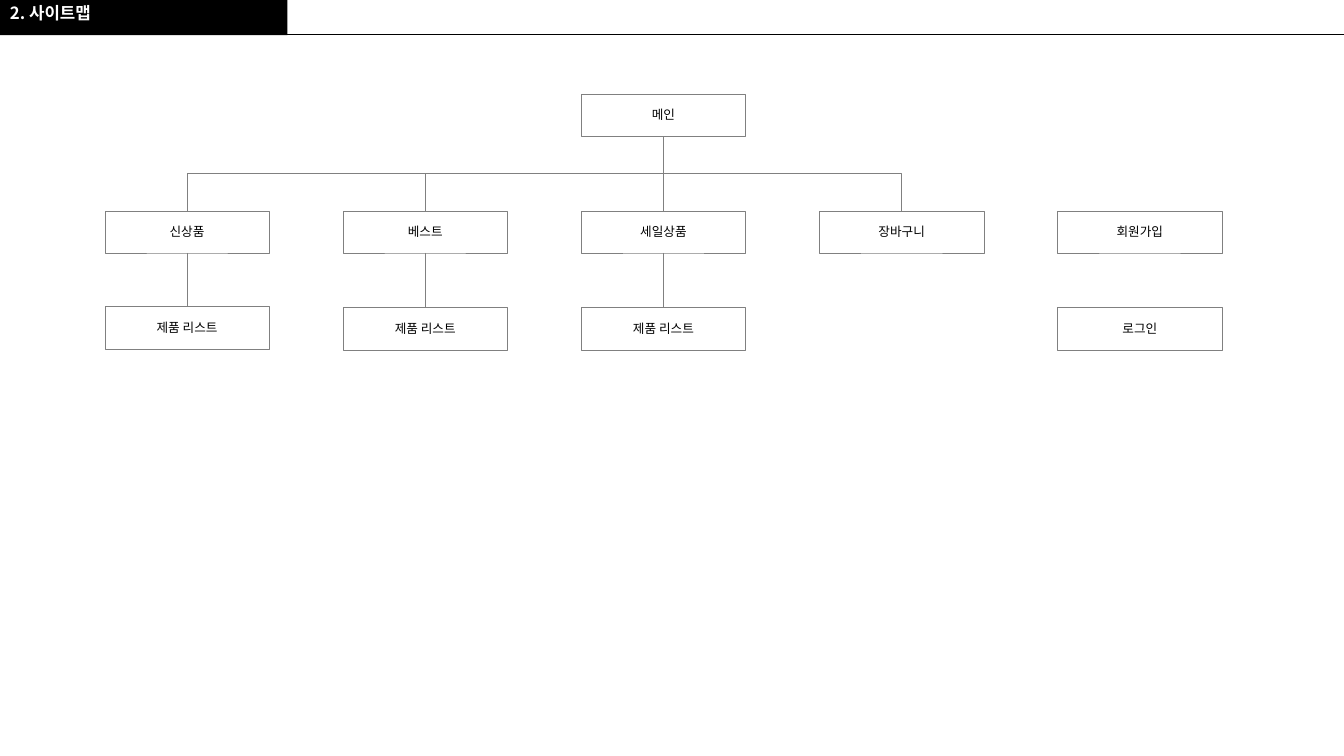
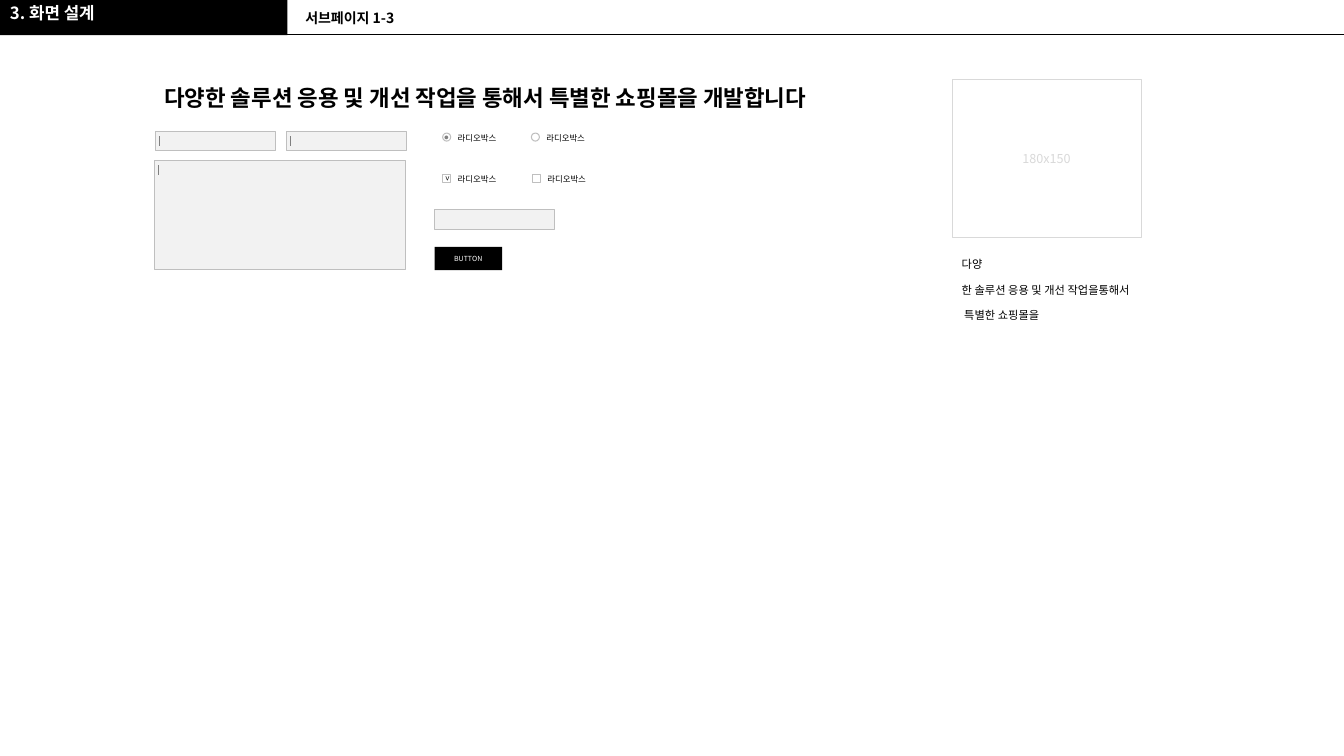
"""Builds the sitemap slide and the screen design slide of a shop plan."""
from lxml import etree
from pptx import Presentation
from pptx.dml.color import RGBColor
from pptx.enum import shapes, text
from pptx.oxml.ns import qn
from pptx.util import Inches, Pt

FONT = "Noto Sans CJK KR"
BLACK, WHITE, GRAY, BORDER, FIELD, PALE = "000000", "FFFFFF", "808080", "BFBFBF", "F2F2F2", "D9D9D9"
RECTANGLE, OVAL = shapes.MSO_SHAPE.RECTANGLE, shapes.MSO_SHAPE.OVAL
STRAIGHT, ELBOW = shapes.MSO_CONNECTOR.STRAIGHT, shapes.MSO_CONNECTOR.ELBOW


def add_box(slide, at, words="", size=9, color=BLACK, kind=None, fill=None, line=None,
            line_width=0.25, bold=False, wrap=True, spacing=None):
    left, top, width, height = map(Inches, at)
    if kind is None:
        shape = slide.shapes.add_textbox(left, top, width, height)
    else:
        shape = slide.shapes.add_shape(kind, left, top, width, height)
        shape.shadow.inherit = False
        shape.fill.solid()
        shape.fill.fore_color.rgb = RGBColor.from_string(fill)
        if line:
            shape.line.color.rgb = RGBColor.from_string(line)
            shape.line.width = Pt(line_width)
        else:
            shape.line.fill.background()
    if words:
        frame = shape.text_frame
        frame.text = words
        frame.word_wrap = wrap
        paragraph = frame.paragraphs[0]
        if kind is not None:
            frame.vertical_anchor = text.MSO_ANCHOR.MIDDLE
            paragraph.alignment = text.PP_ALIGN.CENTER
        if spacing:
            paragraph.line_spacing = spacing
        font = paragraph.runs[0].font
        font.name, font.size, font.bold = FONT, Pt(size), bold
        font.color.rgb = RGBColor.from_string(color)
        etree.SubElement(paragraph.runs[0]._r.rPr, qn("a:ea")).set("typeface", FONT)
    return shape


def add_line(slide, start, end, color=GRAY, width=0.5, kind=STRAIGHT):
    connector = slide.shapes.add_connector(kind, *map(Inches, (*start, *end)))
    connector.line.color.rgb = RGBColor.from_string(color)
    connector.line.width = Pt(width)
    etree.SubElement(connector._element.spPr, qn("a:effectLst"))
    return connector


presentation = Presentation()
presentation.slide_width, presentation.slide_height = Inches(13.33), Inches(7.5)
slides = []
for title, subtitle in (("2. 사이트맵", ""), ("3. 화면 설계", "서브페이지 1-3")):
    slide = presentation.slides.add_slide(presentation.slide_layouts[6])
    slides.append(slide)
    add_box(slide, (0, 0, 2.85, 0.35), kind=RECTANGLE, fill=BLACK)
    add_line(slide, (2.76, 0.34), (13.33, 0.34), BLACK)
    headings = [(title, (0, 0.03, 2.85, 0.32), 12, WHITE)]
    if subtitle:
        headings.append((subtitle, (2.93, 0.09, 8.57, 0.26), 10, BLACK))
    for words, at, size, color in headings:
        heading = add_box(slide, at, words, size, color, bold=True, spacing=0.9)
        heading.text_frame.margin_top = Inches(0.02)
sitemap, screen = slides

NODE_WIDTH, NODE_HEIGHT, COLUMN_STEP = 1.63, 0.42, 2.3625
MAIN_TOP, MENU_TOP, LIST_TOP = 0.93, 2.09, 3.05
column_lefts = [1.04 + COLUMN_STEP * column for column in range(5)]
nodes = [(column_lefts[2], MAIN_TOP, "메인")]
for left, menu in zip(column_lefts, ("신상품", "베스트", "세일상품", "장바구니", "회원가입")):
    nodes.append((left, MENU_TOP, menu))
for column, page in ((0, "제품 리스트"), (1, "제품 리스트"), (2, "제품 리스트"), (4, "로그인")):
    top = LIST_TOP - 0.01 if column == 0 else LIST_TOP
    nodes.append((column_lefts[column], top, page))
for left, top, words in nodes:
    add_box(sitemap, (left, top, NODE_WIDTH, NODE_HEIGHT), words,
            kind=RECTANGLE, fill=WHITE, line=GRAY)

centers = [left + NODE_WIDTH / 2 for left in column_lefts]
main_center, main_bottom = centers[2], MAIN_TOP + NODE_HEIGHT
add_line(sitemap, (main_center, main_bottom), (main_center, MENU_TOP))
for center in (centers[0], centers[1], centers[3]):
    middle_x, middle_y = (main_center + center) / 2, (main_bottom + MENU_TOP) / 2
    half_span, half_drop = abs(center - main_center) / 2, (MENU_TOP - main_bottom) / 2
    side = 1 if center < main_center else -1
    branch = add_line(sitemap, (middle_x - side * half_drop, middle_y - half_span),
                      (middle_x + side * half_drop, middle_y + half_span), kind=ELBOW)
    branch._element.spPr.find(qn("a:xfrm")).set("rot", str((90 if side == 1 else 270) * 60000))
for center in centers[:3]:
    add_line(sitemap, (center, MENU_TOP + NODE_HEIGHT), (center, LIST_TOP))

add_box(screen, (1.53, 0.64, 9.71, 0.52),
        "다양한\u00a0솔루션\u00a0응용\u00a0및\u00a0개선\u00a0작업을 "
        "통해서\u00a0특별한\u00a0쇼핑몰을\u00a0개발합니다",
        16, bold=True, spacing=Pt(30))

for left, top, width, height, has_cursor in (
        (1.54, 1.3, 1.19, 0.19, True), (2.84, 1.3, 1.19, 0.19, True),
        (1.53, 1.59, 2.49, 1.08, True), (4.31, 2.08, 1.19, 0.19, False)):
    add_box(screen, (left, top, width, height), kind=RECTANGLE, fill=FIELD, line=BORDER)
    if has_cursor:
        add_line(screen, (left + 0.04, top + 0.05), (left + 0.04, top + 0.15), width=0.25)

for kind, left, top in ((OVAL, 4.39, 1.32), (OVAL, 5.27, 1.32),
                        (RECTANGLE, 4.39, 1.73), (RECTANGLE, 5.28, 1.73)):
    add_box(screen, (left, top, 0.08, 0.08), kind=kind, fill=WHITE, line=BORDER, line_width=0.75)
    add_box(screen, (left + 0.05, top - 0.05, 0.62, 0.2), "라디오박스", 6, wrap=False)
add_box(screen, (4.31, 1.29, 0.24, 0.15), "●", 3, GRAY, wrap=False)
check_mark = add_box(screen, (4.31, 1.68, 0.26, 0.2), ">", 6, wrap=False)
check_mark.rotation = 90

add_box(screen, (4.31, 2.45, 0.67, 0.23), "BUTTON", 5, WHITE, kind=RECTANGLE, fill=BLACK)
add_box(screen, (9.44, 0.79, 1.88, 1.56), "180x150", 9, PALE,
        kind=RECTANGLE, fill=WHITE, line=PALE)
add_box(screen, (9.44, 2.39, 1.88, 0.82),
        "다양한 솔루션 응용 및 개선 작업을통해서 특별한 쇼핑몰을 ".replace(" ", "\u00a0"),
        8, spacing=Pt(18))

presentation.save("out.pptx")
